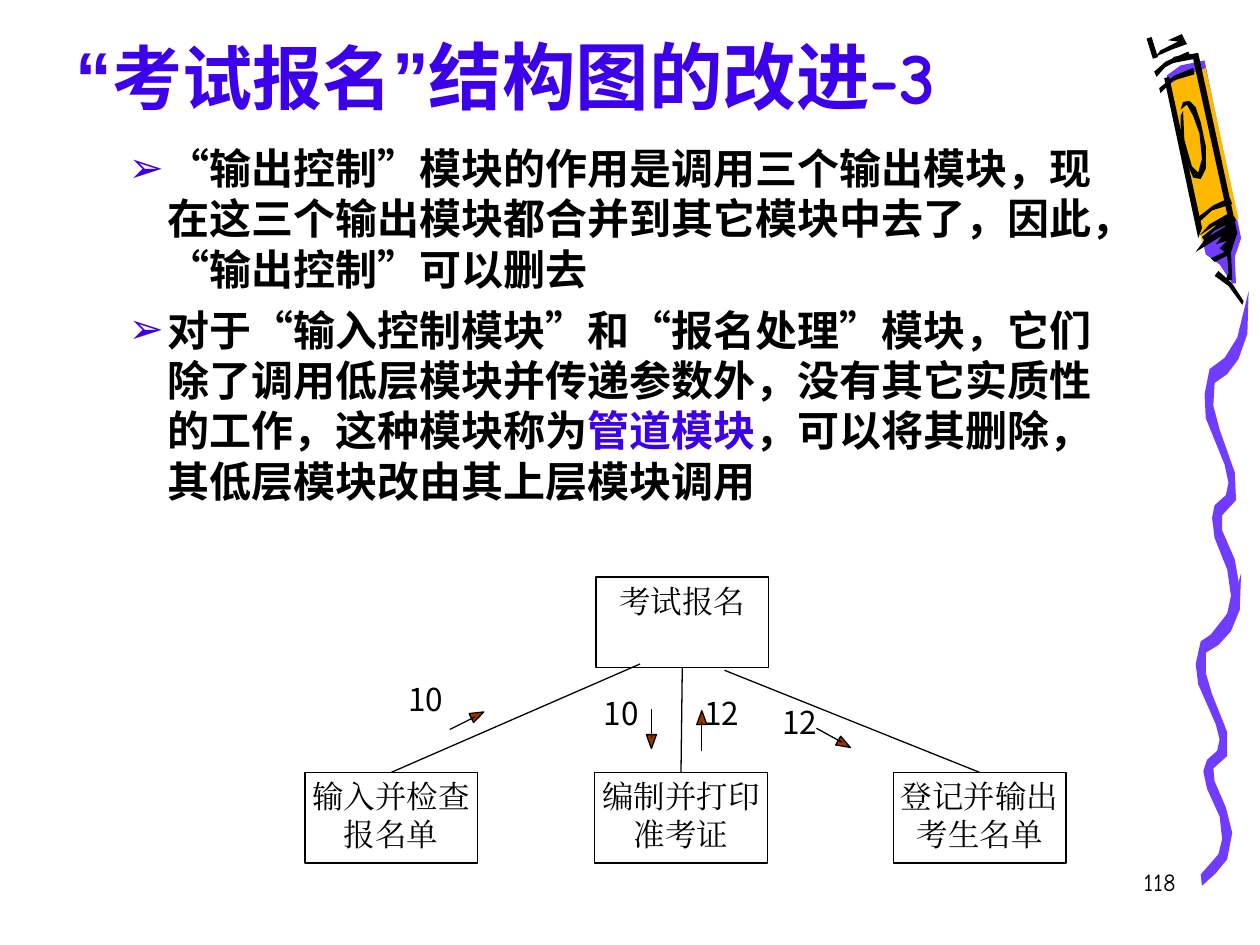
from lxml import etree
from pptx import Presentation
from pptx.dml.color import RGBColor
from pptx.enum.shapes import MSO_CONNECTOR, MSO_SHAPE
from pptx.enum.text import MSO_ANCHOR, MSO_AUTO_SIZE, PP_ALIGN
from pptx.oxml.ns import qn
from pptx.util import Pt

PX = 9144  # 100 px to the inch
LEFT, CENTER, RIGHT, JUSTIFY = PP_ALIGN.LEFT, PP_ALIGN.CENTER, PP_ALIGN.RIGHT, PP_ALIGN.JUSTIFY
TOP, BOTTOM = MSO_ANCHOR.TOP, MSO_ANCHOR.BOTTOM
NO_FIT = MSO_AUTO_SIZE.NONE
STRAIGHT = MSO_CONNECTOR.STRAIGHT
RECTANGLE, TRIANGLE = MSO_SHAPE.RECTANGLE, MSO_SHAPE.ISOSCELES_TRIANGLE

BLACK, BLUE, VIOLET, YELLOW, BROWN = "000000", "3D00EA", "703DFF", "FFB800", "993300"
COMIC, CJK, SERIF = "Comic Neue", "Noto Sans CJK SC", "Times New Roman"

# Outlines of the decoration: fill colour and corner points in px
RIBBON = [
    (VIOLET, "953,694 967,678 970,666 968,648 958,626 955,612 958,603 966,596 968,587 965,575 "
             "951,543 949,527 953,509 965,501 976,487 985,455 984,484 977,501 967,512 957,518 "
             "957,534 962,551 974,581 974,600 963,610 964,620 973,641 978,661 974,682 965,693 954,703"),
    (VIOLET, "960,505 974,487 977,473 974,452 964,427 962,411 964,401 973,393 975,383 972,369 "
             "957,332 956,313 960,293 972,284 982,268 991,231 990,265 983,285 974,297 964,304 "
             "963,322 968,341 980,375 981,397 970,409 970,421 980,444 984,467 980,491 972,504 961,515"),
]
CRAYON = [
    ("FFFFFF", "950,44 930,47 919,57 949,197 962,207 972,220 976,219 975,198 979,185"),
    (VIOLET, "926,60 957,202 968,210 978,225 981,225 980,204 985,189 956,48 937,52"),
    (YELLOW, "954,192 968,179 983,174 957,54 936,62 927,68"),
    (BLACK, "964,219 975,227 986,242 987,239 978,225 967,215"),
    (BLACK, "917,45 931,39 942,35 938,27 927,32 935,33 921,40"),
    (BLACK, "937,92 937,106 941,127 947,141 953,142 957,134 957,116 953,97 949,85 944,80 939,81 "
            "937,87 942,83 947,92 952,106 954,126 951,137 946,132 940,111 939,88"),
    (BLACK, "924,62 951,189 954,181 928,61"),
    (BLACK, "949,200 957,189 974,179 964,179 952,187 960,178 974,170 947,47 931,50 920,56 932,45 "
            "951,42 982,185 977,200 978,222 972,223 975,217 974,203 964,208 961,205 972,200 968,197 "
            "974,191 965,194 970,187"),
    (BLACK, "956,191 964,183 981,175 980,172 969,176 954,188"),
    (BLACK, "951,177 962,167 978,162 976,157 963,163 950,173"),
    (BLACK, "921,74 931,64 948,59 947,54 932,60 920,70"),
    (BLACK, "918,61 926,52 945,45 943,41 925,49 916,57"),
]


def px(*lengths):
    return [round(length * PX) for length in lengths]


def color(value):
    return RGBColor.from_string(value)


def add_span(para, text, *, size, font, fill=BLACK, bold=False):
    span = para.add_run()
    span.text = text
    span.font.size, span.font.name, span.font.bold = Pt(size), font, bold
    span.font.color.rgb = color(fill)
    east_asian = etree.SubElement(span.font._element, qn("a:ea"))
    east_asian.set("typeface", font)


def set_frame(shape, *, inset=(10, 5), anchor=TOP, wrap=True):
    frame = shape.text_frame
    frame.word_wrap, frame.auto_size, frame.vertical_anchor = wrap, NO_FIT, anchor
    frame.margin_left = frame.margin_right = inset[0] * PX
    frame.margin_top = frame.margin_bottom = inset[1] * PX
    return frame


def write(shape, lines, *, align=LEFT, inset=(10, 5), **style):
    frame = set_frame(shape, inset=inset)
    for index, line in enumerate(lines):
        para = frame.paragraphs[0] if index == 0 else frame.add_paragraph()
        para.alignment = align
        add_span(para, line, **style)


def add_label(page, box, text, **style):
    write(page.shapes.add_textbox(*px(*box)), [text], **style)


def add_line(page, start, end, width=0.75):
    line = page.shapes.add_connector(STRAIGHT, *px(*start, *end))
    line.line.color.rgb, line.line.width = color(BLACK), Pt(width)
    etree.SubElement(line._element.spPr, qn("a:effectLst"))
    return line


def add_outlines(page, outlines):
    for fill, text in outlines:
        points = [tuple(int(part) for part in pair.split(",")) for pair in text.split()]
        builder = page.shapes.build_freeform(*points[0], scale=PX)
        builder.add_line_segments(points[1:], close=True)
        shape = builder.convert_to_shape()
        shape.shadow.inherit = False
        shape.fill.solid()
        shape.fill.fore_color.rgb = color(fill)
        shape.line.fill.background()


def add_decoration(page):
    add_outlines(page, RIBBON + CRAYON)
    add_line(page, (912, 30), (917, 46), width=3)


def place(shape, box):
    shape.left, shape.top, shape.width, shape.height = px(*box)


def fill_title(title, box):
    place(title, box)
    para = set_frame(title, anchor=BOTTOM).paragraphs[0]
    para.alignment = LEFT
    for text, size, font in [("“", 42, "Arial"), ("考试报名", 40, COMIC),
                             ("”", 42, "Arial"), ("结构图的改进-3", 42, COMIC)]:
        add_span(para, text, size=size, font=font, fill=BLUE, bold=True)


def add_bullet(para):
    props = para._p.get_or_add_pPr()
    props.set("marL", str(81 * PX))
    props.set("indent", str(-31 * PX))
    bullet_color = etree.SubElement(props, qn("a:buClr"))
    etree.SubElement(bullet_color, qn("a:srgbClr")).set("val", BLUE)
    etree.SubElement(props, qn("a:buChar")).set("char", "➢")


def fill_body(body, box):
    place(body, box)
    frame = set_frame(body)
    items = [
        [("“输出控制”模块的作用是调用三个输出模块，现在这三个输出模块都合并到其它模块中去了，"
          "因此，“输出控制”可以删去", BLACK)],
        [("对于“输入控制模块”和“报名处理”模块，它们除了调用低层模块并传递参数外，"
          "没有其它实质性的工作，这种模块称为", BLACK),
         ("管道模块", BLUE), ("，可以将其删除，其低层模块改由其上层模块调用", BLACK)],
    ]
    for index, spans in enumerate(items):
        para = frame.add_paragraph() if index else frame.paragraphs[0]
        para.level = 1
        add_bullet(para)
        para.alignment = LEFT
        para.space_before = Pt(6 if index else 0)
        for text, fill in spans:
            add_span(para, text, size=24, font=CJK, fill=fill, bold=True)


def add_module(page, left, top, lines):
    module = page.shapes.add_shape(RECTANGLE, *px(left, top, 137, 72))
    module.shadow.inherit = False
    module.fill.background()
    module.line.color.rgb, module.line.width = color(BLACK), Pt(0.75)
    write(module, lines, align=CENTER, inset=(2, 4), size=18, font=SERIF)
    return module


def add_data_flow(page, left, top, text, label, head, angle, start, end):
    """Number, shaft and turned arrowhead of one passed value."""
    add_label(page, (left + label[0], top + label[1], label[2], 58), text,
              align=JUSTIFY, inset=(4, 4), size=18, font=CJK)
    triangle = page.shapes.add_shape(TRIANGLE, *px(left + head[0], top + head[1], 8, 11))
    triangle.shadow.inherit = False
    triangle.rotation = angle
    triangle.fill.solid()
    triangle.fill.fore_color.rgb = color(BROWN)
    triangle.line.color.rgb, triangle.line.width = color(BLACK), Pt(0.75)
    add_line(page, (left + start[0], top + start[1]), (left + end[0], top + end[1]))


def add_structure_chart(page, left, top):
    # Modules and the calls between them
    root = add_module(page, left + 231, top, ["考试报名"])
    children = [(0, ["输入并检查", "报名单"], (266, 69)),
                (230, ["编制并打印", "准考证"], None),
                (467, ["登记并输出", "考生名单"], (333, 74))]
    for offset, lines, start in children:
        child = add_module(page, left + offset, top + 155, lines)
        x, y = start or (299, 72)
        call = add_line(page, (left + x, top + y), (left + offset + 68, top + 155))
        if start is None:
            call.begin_connect(root, 2)
        call.end_connect(child, 0)

    # Values passed along the calls
    flows = [("10", (78, 78, 44), (133, 104), 64, (115, 121), (135, 111)),
             ("10", (233, 89, 55), (271, 125), 180, (275, 105), (275, 128)),
             ("12", (313, 89, 55), (311, 106), 0, (315, 138), (315, 115)),
             ("12", (375, 96, 40), (424, 127), 119.7, (406, 120), (426, 131))]
    for flow in flows:
        add_data_flow(page, left, top, *flow)


def main():
    deck = Presentation()
    deck.slide_width, deck.slide_height = px(1000, 750)
    page = deck.slides.add_slide(deck.slide_layouts[1])
    add_decoration(page)
    add_label(page, (735, 683, 208, 50), "118", align=RIGHT, size=14, font=COMIC)
    fill_title(page.shapes.title, (50, 17, 900, 83))
    fill_body(page.placeholders[1], (42, 108, 867, 358))
    add_structure_chart(page, 242, 458)
    deck.save("out.pptx")


if __name__ == "__main__":
    main()
